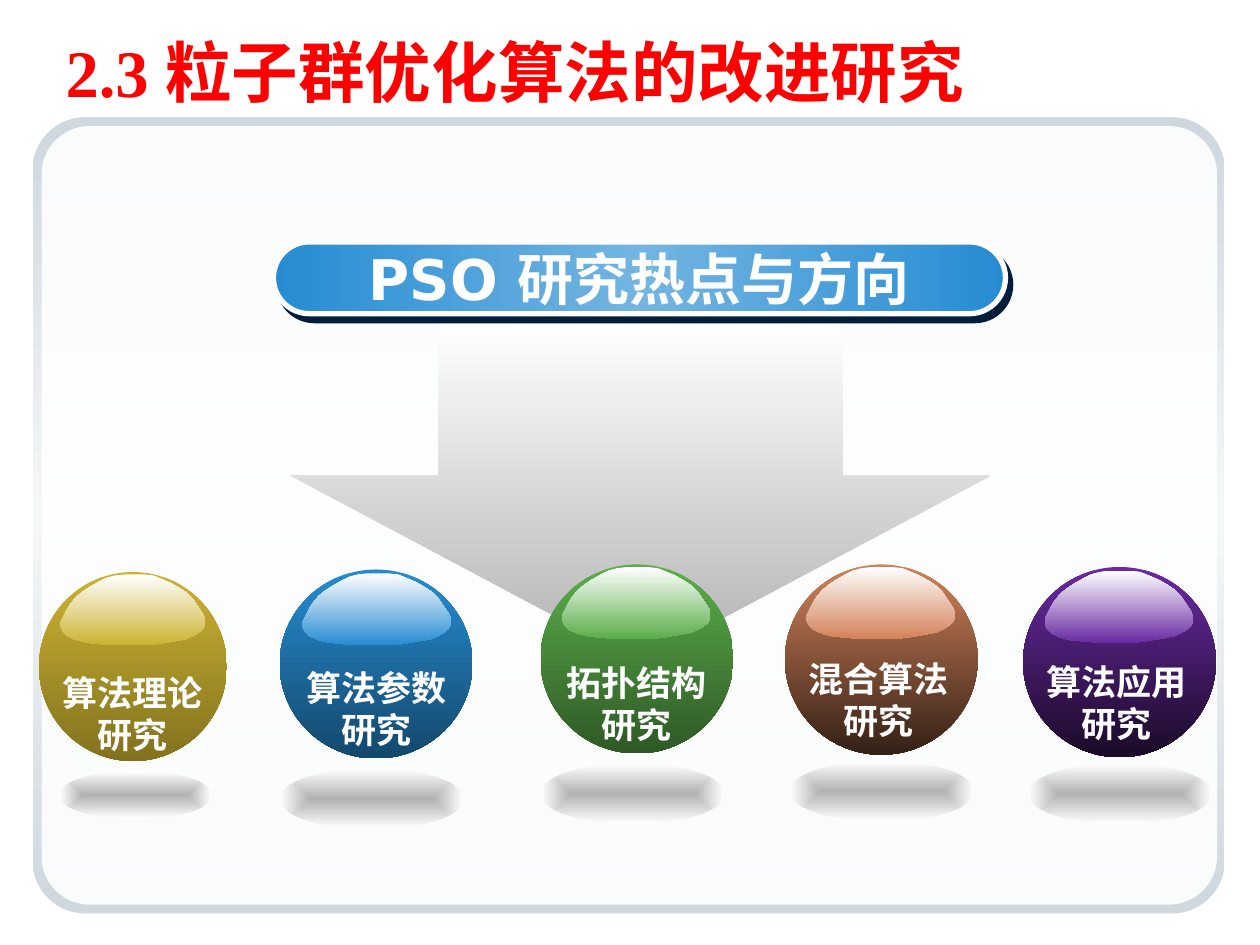
from pptx import Presentation
from pptx import util as u
from pptx.dml.color import RGBColor
from pptx.enum import shapes, text
from pptx.oxml import parse_xml
from pptx.oxml.ns import nsdecls, qn

prs = Presentation()
prs.slide_width, prs.slide_height = u.Inches(10), u.Inches(7.5)
UNIT = prs.slide_width // 100  # grid of 100 columns by 75 rows
rgb = RGBColor.from_string


def grid(*cells):
    return [u.Emu(round(c * UNIT)) for c in cells]


def gradient(sp, colours, direction='<a:lin ang="5400000" scaled="0"/>'):
    """Spread the colours evenly over the shape, without outline or shadow."""
    stops = "".join(
        f'<a:gs pos="{100000 * i // (len(colours) - 1)}"><a:srgbClr val="{c}"/></a:gs>'
        for i, c in enumerate(colours))
    sp.fill.background()
    sp.line.fill.background()
    sp.shadow.inherit = False
    spPr = sp.element.spPr
    spPr.replace(spPr.find(qn("a:noFill")), parse_xml(
        f'<a:gradFill {nsdecls("a")} rotWithShape="1">'
        f'<a:gsLst>{stops}</a:gsLst>{direction}</a:gradFill>'))


ACROSS = '<a:lin ang="0" scaled="0"/>'
FROM_CENTRE = '<a:path path="rect"><a:fillToRect l="50000" t="50000" r="50000" b="50000"/></a:path>'
SHAPE = shapes.MSO_SHAPE

s = prs.slides.add_slide(prs.slide_layouts[5])

# Title
sp = s.shapes.title
sp.left, sp.top, sp.width, sp.height = grid(4.2, 2.5, 93.3, 6.2)
tf = sp.text_frame
tf.auto_size = text.MSO_AUTO_SIZE.NONE
tf.vertical_anchor = text.MSO_ANCHOR.MIDDLE
p = tf.paragraphs[0]
p.alignment = text.PP_ALIGN.LEFT
r = p.add_run()
r.text = "2.3 粒子群优化算法的改进研究"
r.font.name, r.font.size, r.font.bold = "Times New Roman", u.Pt(38), True
r.font.color.rgb = rgb("FF0000")

# Frame and its translucent panel
sp = s.shapes.add_shape(SHAPE.ROUNDED_RECTANGLE, *grid(2.6, 9.3, 94.6, 63.2))
sp.adjustments[0] = 0.066
gradient(sp, ["CFD7DF", "F5F7F8", "CFD7DF"])
sp = s.shapes.add_shape(SHAPE.ROUNDED_RECTANGLE, *grid(3.3, 10, 93.3, 61.8))
sp.adjustments[0] = 0.062
sp.shadow.inherit = False
sp.line.fill.background()
sp.fill.solid()
sp.fill.fore_color.rgb = rgb("FFFFFF")
sp.element.spPr.find(".//" + qn("a:srgbClr")).append(
    parse_xml(f'<a:alpha {nsdecls("a")} val="90000"/>'))

# Arrow from the heading to the topics
sp = s.shapes.add_shape(SHAPE.DOWN_ARROW, *grid(23.1, 25.4, 55.5, 27.1))
sp.adjustments[0], sp.adjustments[1] = 0.578, 0.544
gradient(sp, ["FFFFFF", "B2B2B2"])

# Heading bar with a hard shadow
sp = s.shapes.add_shape(SHAPE.ROUNDED_RECTANGLE, *grid(21.7, 19.2, 58.1, 5.7))
sp.adjustments[0] = 0.5
gradient(sp, ["268CD2", "73B5E2", "268CD2"], ACROSS)
sp.line.color.rgb = rgb("FFFFFF")
sp.line.width = u.Pt(3)
sp.element.spPr.find(qn("a:effectLst")).append(parse_xml(
    f'<a:outerShdw {nsdecls("a")} blurRad="0" dist="{u.Pt(5)}" dir="3180000" '
    'algn="ctr" rotWithShape="0"><a:srgbClr val="001D3A"/></a:outerShdw>'))
tf = sp.text_frame
tf.word_wrap = False
tf.vertical_anchor = text.MSO_ANCHOR.MIDDLE
p = tf.paragraphs[0]
p.alignment = text.PP_ALIGN.CENTER
r = p.add_run()
r.text = "PSO 研究热点与方向"
r.font.name, r.font.size, r.font.bold = "DejaVu Sans", u.Pt(32), True
r.font.color.rgb = rgb("FFFFFF")

# Topic balls: lines, colours, then ball, gloss, label and floor shadow boxes
BALLS = [
    (["算法理论", "研究"], "CDB331", "82721F", (3.1, 45.4, 14.9, 15),
     (4.8, 45.6, 11.5, 5.6), (4, 52.8, 13.1, 7.7), (4.7, 61.2, 12.1, 3.8)),
    (["混合算法", "研究"], "D38259", "332016", (62.3, 44.8, 15.3, 15.1),
     (64, 45, 11.8, 5.7), (63.2, 51.7, 13.1, 7.7), (62.7, 60.4, 14.6, 4.8)),
    (["算法参数研究"], "268CD2", "14486C", (22.2, 45.2, 15.3, 15),
     (24, 45.5, 11.8, 5.7), (23, 52.4, 13.8, 7.7), (22.2, 61, 14.6, 4.8)),
    (["拓扑结构研究"], "5BAE4A", "2F5926", (42.9, 44.8, 15.3, 15),
     (44.6, 45, 11.8, 5.7), (43.6, 52, 13.8, 7.7), (42.9, 60.6, 14.6, 4.8)),
    (["算法应用", "研究"], "692AA2", "1A0A27", (81.2, 45, 15.3, 15.1),
     (82.9, 45.3, 11.8, 5.7), (82.1, 51.9, 13.1, 7.7), (81.6, 60.6, 14.6, 4.8)),
]
GLOSS = [(116, 32), (118, 35), (118, 41), (116, 44), (111, 48), (103, 52), (92, 54),
         (80, 56), (71, 57), (43, 57), (31, 56), (21, 55), (13, 53), (6, 50), (2, 46),
         (0, 42), (0, 39), (2, 35), (5, 29), (8, 24), (13, 18), (18, 14), (24, 10),
         (31, 6), (37, 3), (44, 1), (52, 0), (60, 0), (68, 0), (76, 1), (83, 4),
         (90, 7), (97, 11), (103, 15), (108, 20), (112, 26)]

for lines, light, dark, ball, gloss, label, floor in BALLS:
    g = s.shapes.add_group_shape().shapes
    gradient(g.add_shape(SHAPE.OVAL, *grid(*ball)), [light, dark])

    builder = g.build_freeform(*GLOSS[0], scale=UNIT / 10)
    builder.add_line_segments(GLOSS[1:], close=True)
    sp = builder.convert_to_shape()
    sp.left, sp.top, sp.width, sp.height = grid(*gloss)
    gradient(sp, ["FFFFFF", light])

    tf = g.add_textbox(*grid(*label)).text_frame
    tf.word_wrap = len(lines) == 1
    tf.auto_size = text.MSO_AUTO_SIZE.SHAPE_TO_FIT_TEXT
    for i, line in enumerate(lines):
        p = tf.add_paragraph() if i else tf.paragraphs[0]
        p.alignment = text.PP_ALIGN.CENTER
        r = p.add_run()
        r.text = line
        r.font.name, r.font.size, r.font.bold = "Arial", u.Pt(20), True
        r.font.color.rgb = rgb("FFFFFF")

    gradient(g.add_shape(SHAPE.OVAL, *grid(*floor)), ["B2B2B2", "FFFFFF"], FROM_CENTRE)

prs.save("out.pptx")
